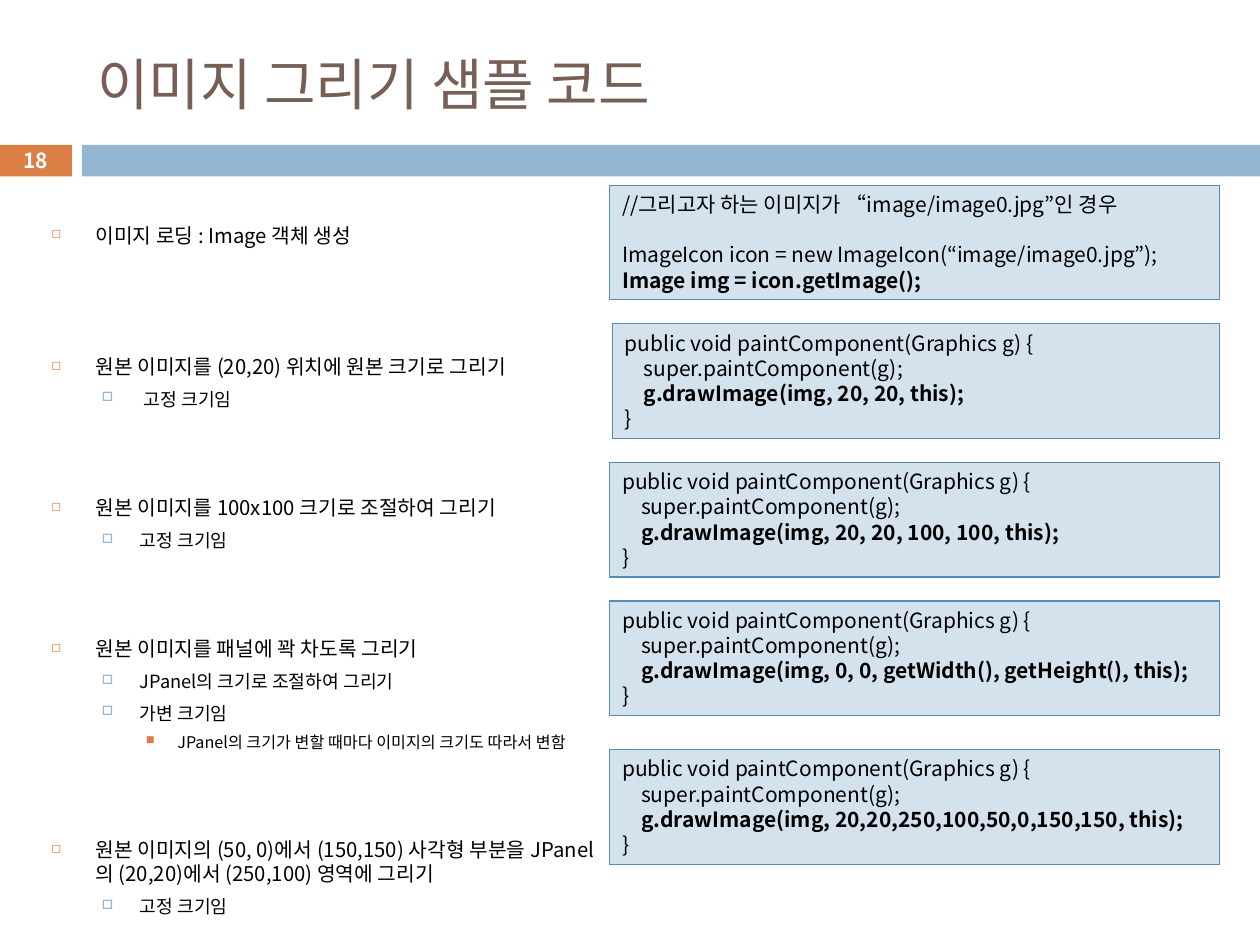
from dataclasses import dataclass

from lxml.etree import SubElement
from pptx import Presentation
from pptx.dml.color import RGBColor
from pptx.enum.shapes import MSO_SHAPE
from pptx.enum.text import MSO_ANCHOR, PP_ALIGN
from pptx.oxml.ns import qn
from pptx.util import Inches, Pt


@dataclass(frozen=True)
class Theme:
    """Colours, type sizes and font of the deck."""
    font: str = "Noto Sans CJK KR"
    brown: str = "775F55"
    orange: str = "DD8047"
    blue: str = "94B6D2"
    code_fill: str = "D4E2ED"
    code_line: str = "558BB8"
    ink: str = "000000"
    white: str = "FFFFFF"
    title_size: float = 32
    number_size: float = 11.9
    code_size: float = 12
    leading: float = 1.2


@dataclass(frozen=True)
class Level:
    """Type and bullet of one outline level."""
    size: float
    margin: float
    hanging: float
    before: float
    bullet: str
    bullet_color: str
    bullet_percent: int


THEME = Theme()
LEVELS = [
    Level(11.6, 0.35, 0.35, 7, "◻", THEME.orange, 60),
    Level(10.4, 0.7, 0.3, 5.5, "□", THEME.blue, 70),
    Level(9.2, 1, 0.25, 5, "■", THEME.orange, 75),
]
WIDE_GAP, SECTION_GAP = 61, 48.8
OUTLINE = [
    (0, "이미지 로딩 : Image 객체 생성", None),
    (0, "원본 이미지를 (20,20) 위치에 원본 크기로 그리기", WIDE_GAP),
    (1, " 고정 크기임", None),
    (0, "원본 이미지를 100x100 크기로 조절하여 그리기", SECTION_GAP),
    (1, "고정 크기임", None),
    (0, "원본 이미지를 패널에 꽉 차도록 그리기", SECTION_GAP),
    (1, "JPanel의 크기로 조절하여 그리기", None),
    (1, "가변 크기임", None),
    (2, "JPanel의 크기가 변할 때마다 이미지의 크기도 따라서 변함", None),
    (0, "원본 이미지의 (50, 0)에서 (150,150) 사각형 부분을 "
        "JPanel의 (20,20)에서 (250,100) 영역에 그리기", SECTION_GAP),
    (1, "고정 크기임", None),
]
LOADING_CODE = [
    ("//그리고자 하는 이미지가 “image/image0.jpg”인 경우", {}),
    ("ImageIcon icon = new ImageIcon(“image/image0.jpg”);", {"blank_before": 1}),
    ("Image img = icon.getImage();", {"bold": True}),
]
DRAW_CALLS = [
    (0.02, 1.1, "20, 20, this"),
    (0, 2.2, "20, 20, 100, 100, this"),
    (0, 3.3, "0, 0, getWidth(), getHeight(), this"),
    (0, 4.48, "20,20,250,100,50,0,150,150, this"),
]


def apply_format(target, values):
    """Set each named attribute of the target."""
    for name, value in values.items():
        setattr(target, name, value)


def write(paragraph, text, size, color, bold=False):
    """Add one formatted run to a paragraph."""
    run = paragraph.add_run()
    run.text = text
    apply_format(run.font, {"name": THEME.font, "size": Pt(size), "bold": bold})
    run.font.color.rgb = RGBColor.from_string(color)
    SubElement(run.font._element, qn("a:ea"), typeface=THEME.font)


def next_paragraph(frame, index):
    """Return the first paragraph of a frame, or a new one after it."""
    return frame.add_paragraph() if index else frame.paragraphs[0]


def add_panel(slide, box, fill, line=None):
    """Add a flat rectangle."""
    panel = slide.shapes.add_shape(MSO_SHAPE.RECTANGLE, *box)
    panel.shadow.inherit = False
    panel.fill.solid()
    panel.fill.fore_color.rgb = RGBColor.from_string(fill)
    if line:
        panel.line.color.rgb = RGBColor.from_string(line)
        panel.line.width = Pt(0.75)
    else:
        panel.line.fill.background()
    return panel


def add_title(slide, box, text):
    """Move and format the title placeholder."""
    title = slide.shapes.title
    apply_format(title, dict(zip(("left", "top", "width", "height"), box)))
    apply_format(title.text_frame, {"vertical_anchor": MSO_ANCHOR.MIDDLE, "word_wrap": True})
    heading = title.text_frame.paragraphs[0]
    heading.alignment = PP_ALIGN.LEFT
    write(heading, text, THEME.title_size, THEME.brown)


def add_band(slide, box, number):
    """Add the numbered tab and the bar beside it."""
    left, top, width, height = box
    tab_width, bar_offset = Inches(0.58), Inches(0.66)
    add_panel(slide, (left, top, tab_width, height), THEME.orange)
    add_panel(slide, (left + bar_offset, top, width - bar_offset, height), THEME.blue)
    bleed = Inches(0.01)
    label = slide.shapes.add_textbox(left, top - bleed, tab_width, height + 2 * bleed)
    apply_format(label.text_frame, {"vertical_anchor": MSO_ANCHOR.MIDDLE, "word_wrap": True})
    digits = label.text_frame.paragraphs[0]
    digits.alignment = PP_ALIGN.CENTER
    write(digits, number, THEME.number_size, THEME.white, bold=True)


def add_bullet(paragraph, level):
    """Give a paragraph the indent and bullet of its level."""
    properties = paragraph._p.get_or_add_pPr()
    properties.set("marL", str(Inches(level.margin)))
    properties.set("indent", str(-Inches(level.hanging)))
    color = SubElement(properties, qn("a:buClr"))
    SubElement(color, qn("a:srgbClr"), val=level.bullet_color)
    SubElement(properties, qn("a:buSzPct"), val=str(level.bullet_percent * 1000))
    SubElement(properties, qn("a:buChar"), char=level.bullet)


def add_outline(slide, box, items):
    """Add the bulleted explanation."""
    frame = slide.shapes.add_textbox(*box).text_frame
    frame.word_wrap = True
    for index, (depth, text, gap) in enumerate(items):
        level = LEVELS[depth]
        item = next_paragraph(frame, index)
        apply_format(item, {
            "level": depth,
            "line_spacing": Pt(level.size * THEME.leading),
            "space_before": Pt(gap or level.before),
        })
        add_bullet(item, level)
        write(item, text, level.size, THEME.ink)


def add_code(slide, box, lines):
    """Add one code panel."""
    frame = add_panel(slide, box, THEME.code_fill, THEME.code_line).text_frame
    apply_format(frame, {"word_wrap": True, "vertical_anchor": MSO_ANCHOR.TOP})
    pitch = THEME.code_size * THEME.leading
    for index, (text, style) in enumerate(lines):
        statement = next_paragraph(frame, index)
        apply_format(statement, {
            "alignment": PP_ALIGN.LEFT,
            "line_spacing": Pt(pitch),
            "space_before": Pt(pitch * style.get("blank_before", 0)),
        })
        statement._p.get_or_add_pPr().set("marL", str(Inches(style.get("indent", 0))))
        write(statement, text, THEME.code_size, THEME.ink, style.get("bold", False))


def paint_method(arguments):
    """Return the lines of a paintComponent method."""
    return [
        ("public void paintComponent(Graphics g) {", {}),
        ("super.paintComponent(g);", {"indent": 0.15}),
        (f"g.drawImage(img, {arguments});", {"indent": 0.15, "bold": True}),
        ("}", {}),
    ]


def add_samples(slide, box):
    """Stack the code panels in a column."""
    left, top, width, _ = box
    height = Inches(0.91)
    add_code(slide, (left, top, width, height), LOADING_CODE)
    for shift, drop, arguments in DRAW_CALLS:
        panel_box = (left + Inches(shift), top + Inches(drop), width - Inches(shift), height)
        add_code(slide, panel_box, paint_method(arguments))


def inches_box(*lengths):
    """Convert left, top, width and height to Inches."""
    return tuple(Inches(length) for length in lengths)


def main():
    """Build and save the slide."""
    deck = Presentation()
    apply_format(deck, {"slide_width": Inches(10), "slide_height": Inches(7.5)})
    slide = deck.slides.add_slide(deck.slide_layouts.get_by_name("Title Only"))
    add_band(slide, inches_box(-0.01, 1.15, 10.01, 0.25), "18")
    add_title(slide, inches_box(0.67, 0.25, 8.92, 0.82), "이미지 그리기 샘플 코드")
    add_outline(slide, inches_box(0.31, 1.72, 4.53, 5.14), OUTLINE)
    add_samples(slide, inches_box(4.84, 1.47, 4.84, 5.39))
    deck.save("out.pptx")


if __name__ == "__main__":
    main()
